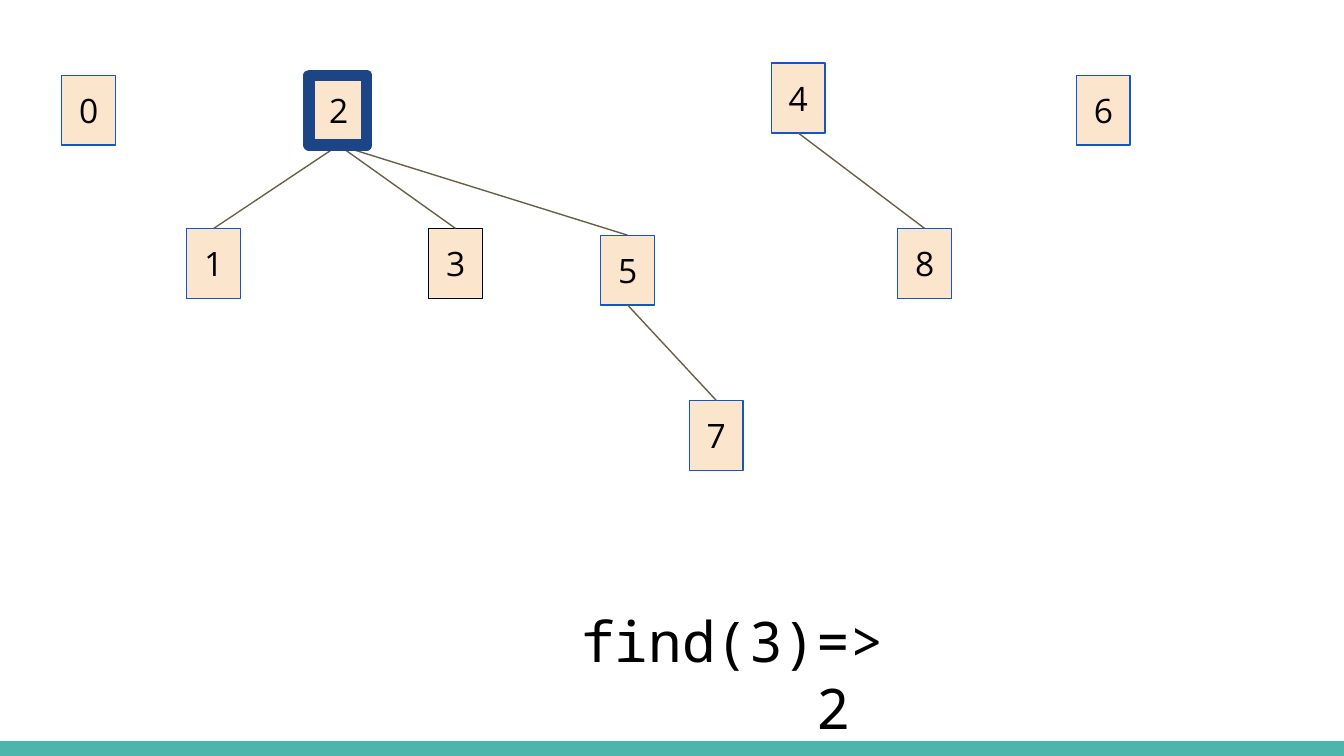
from dataclasses import dataclass

from lxml import etree
from pptx import Presentation
from pptx.dml.color import RGBColor
from pptx.enum.shapes import MSO_CONNECTOR, MSO_SHAPE
from pptx.enum.text import MSO_ANCHOR, PP_ALIGN
from pptx.oxml.ns import qn
from pptx.shapes.autoshape import Shape
from pptx.slide import Slide
from pptx.text.text import TextFrame
from pptx.util import Inches, Pt

RECT = MSO_SHAPE.RECTANGLE
LINE = MSO_CONNECTOR.STRAIGHT
CENTER, LEFT = PP_ALIGN.CENTER, PP_ALIGN.LEFT
MIDDLE, TOP = MSO_ANCHOR.MIDDLE, MSO_ANCHOR.TOP

COLORS = {
    "band": "4DB6AC",
    "node": "FCE5CD",
    "blue": "1155CC",
    "ring": "1C4587",
    "edge": "695D46",
    "black": "000000",
}
WIDTH = 10
HEIGHT = WIDTH * 9 / 16
BAND_H = 0.11
NODE_W, NODE_H = 0.4, 0.52
PAD = 0.1


@dataclass
class Node:
    key: int
    left: float
    top: float
    line: str = "blue"


@dataclass
class Label:
    text: str
    left: float
    width: float
    align: PP_ALIGN


NODES = [
    Node(0, 0.46, 0.56),
    Node(1, 1.39, 1.7),
    Node(2, 2.32, 0.56),
    Node(3, 3.19, 1.7, "black"),
    Node(4, 5.74, 0.47),
    Node(5, 4.47, 1.75),
    Node(6, 8.01, 0.56),
    Node(7, 5.13, 2.98),
    Node(8, 6.68, 1.7),
]
EDGES = [(2, 1), (2, 3), (2, 5), (5, 7), (4, 8)]
LABELS = [
    Label("find(3)", 3.86, 2.68, CENTER),
    Label("=> 2", 5.98, 1.06, LEFT),
]


def color(name: str) -> RGBColor:
    return RGBColor.from_string(COLORS[name])


def set_text(frame: TextFrame, text: str, font: str, size: int,
             align: PP_ALIGN, anchor: MSO_ANCHOR) -> None:
    frame.word_wrap = True
    frame.vertical_anchor = anchor
    frame.margin_left = frame.margin_right = Inches(PAD)
    frame.margin_top = frame.margin_bottom = Inches(PAD)
    para = frame.paragraphs[0]
    para.text = text
    para.alignment = align
    para.font.name = font
    para.font.size = Pt(size)
    para.font.color.rgb = color("black")


def add_box(slide: Slide, left: float, top: float, width: float, height: float,
            fill: str = "", line: str = "", weight: float = 0.75) -> Shape:
    """Add a rectangle; an empty colour name means no fill or no line."""
    box = slide.shapes.add_shape(
        RECT, Inches(left), Inches(top), Inches(width), Inches(height))
    box.shadow.inherit = False
    if fill:
        box.fill.solid()
        box.fill.fore_color.rgb = color(fill)
    else:
        box.fill.background()
    if line:
        box.line.color.rgb = color(line)
        box.line.width = Pt(weight)
    else:
        box.line.fill.background()
    return box


def add_node(slide: Slide, node: Node) -> Shape:
    box = add_box(slide, node.left, node.top, NODE_W, NODE_H, "node", node.line)
    set_text(box.text_frame, str(node.key), "Open Sans", 18, CENTER, MIDDLE)
    return box


def add_edge(slide: Slide, parent: Shape, child: Shape) -> None:
    edge = slide.shapes.add_connector(LINE, 0, 0, 0, 0)
    edge.begin_connect(parent, 2)
    edge.end_connect(child, 0)
    edge.line.color.rgb = color("edge")
    edge.line.width = Pt(0.75)
    etree.SubElement(edge._element.spPr, qn("a:effectLst"))


def add_label(slide: Slide, label: Label) -> None:
    box = slide.shapes.add_textbox(
        Inches(label.left), Inches(4.41), Inches(label.width), Inches(0.8))
    set_text(box.text_frame, label.text, "Noto Sans Mono", 30, label.align, TOP)


def main() -> None:
    deck = Presentation()
    deck.slide_width, deck.slide_height = Inches(WIDTH), Inches(HEIGHT)
    slide = deck.slides.add_slide(deck.slide_layouts[6])

    add_box(slide, 0, HEIGHT - BAND_H, WIDTH, BAND_H, "band")
    boxes = {node.key: add_node(slide, node) for node in NODES}
    for parent, child in EDGES:
        add_edge(slide, boxes[parent], boxes[child])
    for label in LABELS:
        add_label(slide, label)
    add_box(slide, 2.3, 0.56, 0.43, NODE_H, line="ring", weight=6)

    deck.save("out.pptx")


if __name__ == "__main__":
    main()
